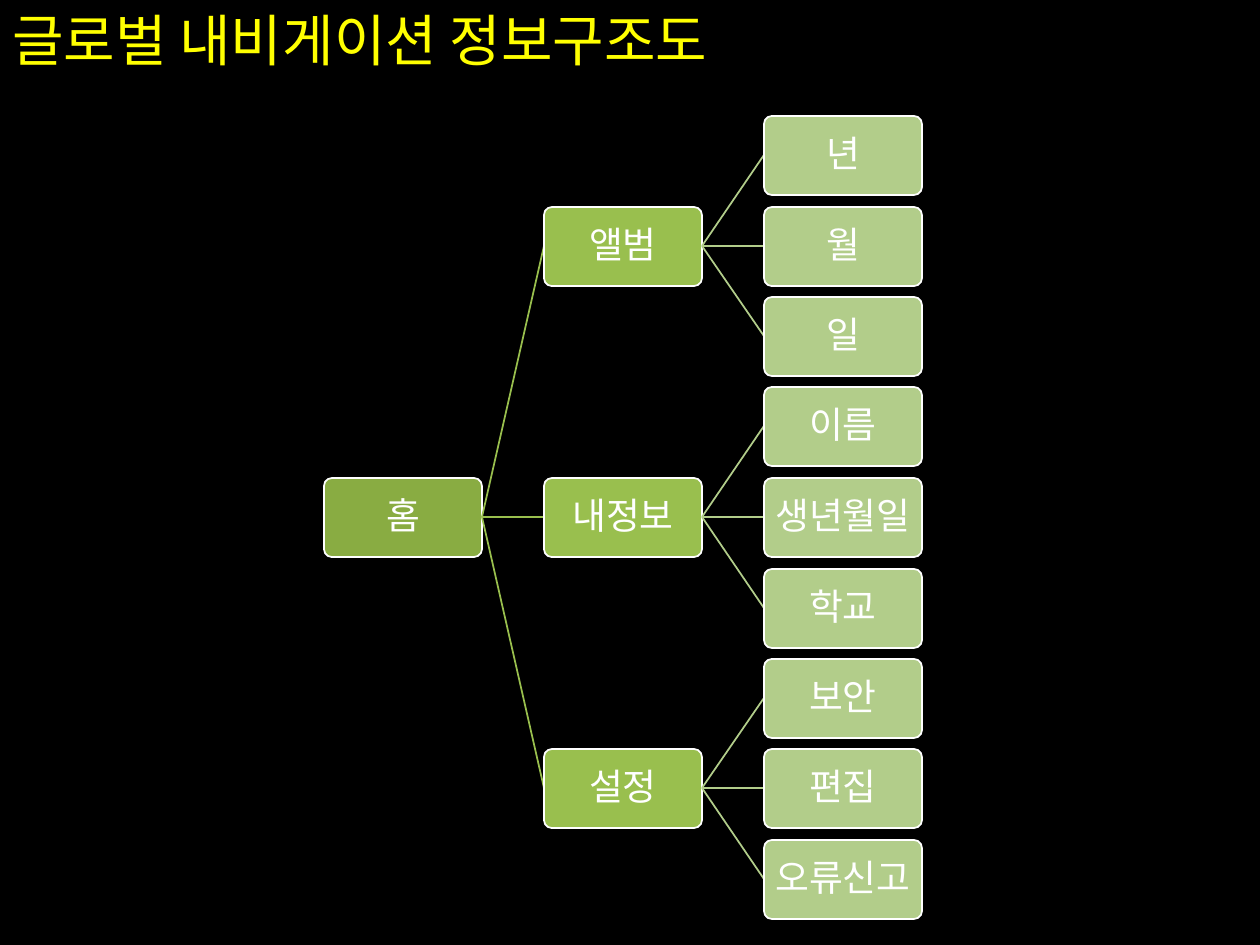
from pptx import Presentation
from pptx import util as u
from pptx.dml.color import RGBColor
from pptx.enum import shapes, text
from pptx.oxml.ns import qn
from lxml import etree

PX = u.Inches(1) // 126
BOX_WIDTH, BOX_HEIGHT = 158, 79
LEFT, COLUMN_STEP = 324, 220
FIRST_ROW, ROW_STEP = 155, 90.5
LEVEL_COLORS = ["89AC42", "99BF4E", "B2CD8A"]
MENUS = {
    "앨범": ["년", "월", "일"],
    "내정보": ["이름", "생년월일", "학교"],
    "설정": ["보안", "편집", "오류신고"],
}


def paint(target, color):
    target.solid()
    target.fore_color.rgb = RGBColor.from_string(color)


def add_text(frame, words, size, color):
    para = frame.paragraphs[0]
    span = para.add_run()
    span.text = words
    span.font.size = u.Pt(size)
    span.font.name = "Calibri"
    paint(span.font.fill, color)
    return para


deck = Presentation()
deck.slide_width, deck.slide_height = 1260 * PX, 945 * PX
page = deck.slides.add_slide(deck.slide_layouts[6])
paint(page.background.fill, "000000")

title = page.shapes.add_textbox(0, -1 * PX, 1134 * PX, 157 * PX)
title.text_frame.word_wrap = True
add_text(title.text_frame, "글로벌 내비게이션 정보구조도", 32, "FFFF00")

nodes = [("홈", 0, 4, 4)]
for group, (menu, items) in enumerate(MENUS.items()):
    menu_row = 3 * group + 1
    nodes.append((menu, 1, menu_row, 4))
    for offset, item in enumerate(items):
        nodes.append((item, 2, 3 * group + offset, menu_row))

for name, level, row, parent_row in nodes:
    left = LEFT + COLUMN_STEP * level
    middle = round(FIRST_ROW + ROW_STEP * row)
    parent_middle = round(FIRST_ROW + ROW_STEP * parent_row)
    color = LEVEL_COLORS[level]

    if level:
        parent_right = left - COLUMN_STEP + BOX_WIDTH
        link = page.shapes.add_connector(
            shapes.MSO_CONNECTOR.STRAIGHT,
            parent_right * PX, parent_middle * PX, left * PX, middle * PX)
        paint(link.line.fill, color)
        link.line.width = u.Pt(1)
        etree.SubElement(link._element.spPr, qn("a:effectLst"))

    box = page.shapes.add_shape(
        shapes.MSO_SHAPE.ROUNDED_RECTANGLE,
        left * PX, (middle - BOX_HEIGHT // 2) * PX, BOX_WIDTH * PX, BOX_HEIGHT * PX)
    box.adjustments[0] = 0.1
    box.shadow.inherit = False
    paint(box.fill, color)
    paint(box.line.fill, "FFFFFF")
    box.line.width = u.Pt(1)

    frame = box.text_frame
    frame.word_wrap = True
    frame.vertical_anchor = text.MSO_ANCHOR.MIDDLE
    frame.margin_left = frame.margin_right = 3 * PX
    frame.margin_top = frame.margin_bottom = 3 * PX
    para = add_text(frame, name, 21, "FFFFFF")
    para.alignment = text.PP_ALIGN.CENTER
    para.line_spacing = 0.9
    para.space_after = u.Pt(7)

deck.save("out.pptx")
